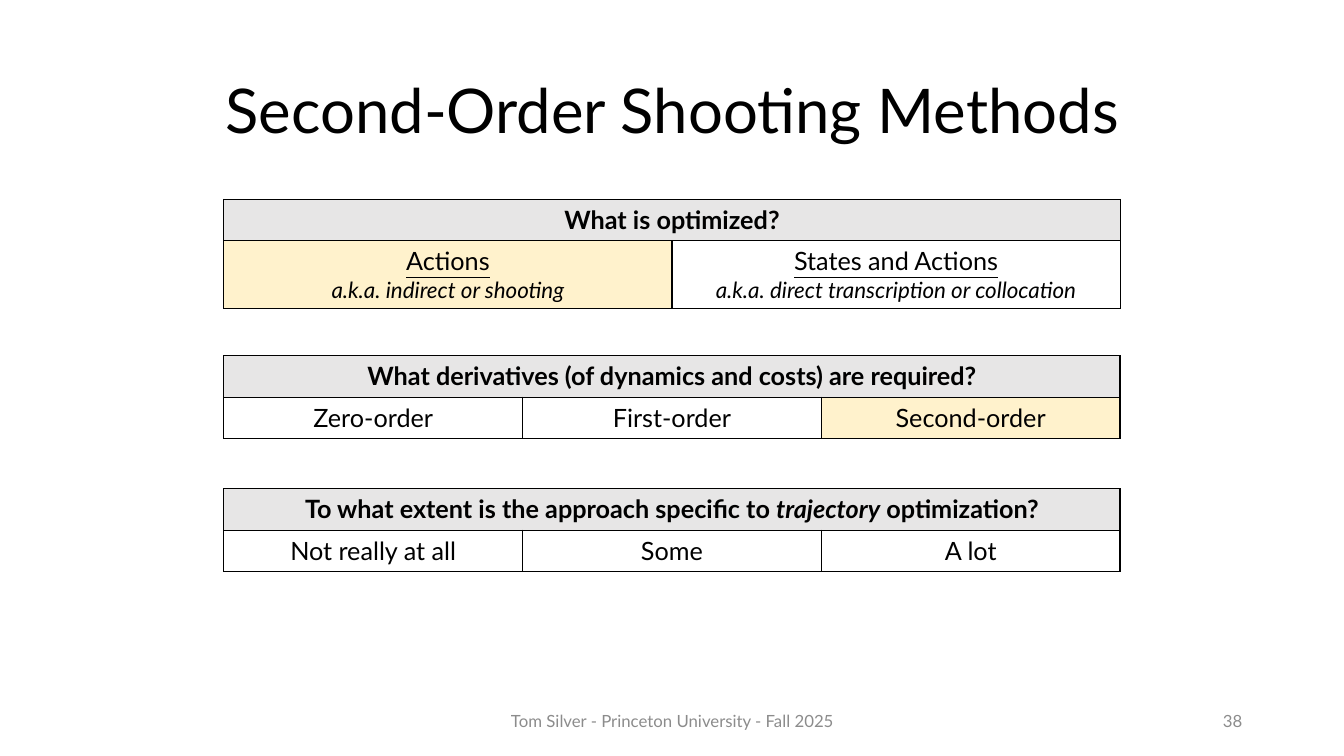
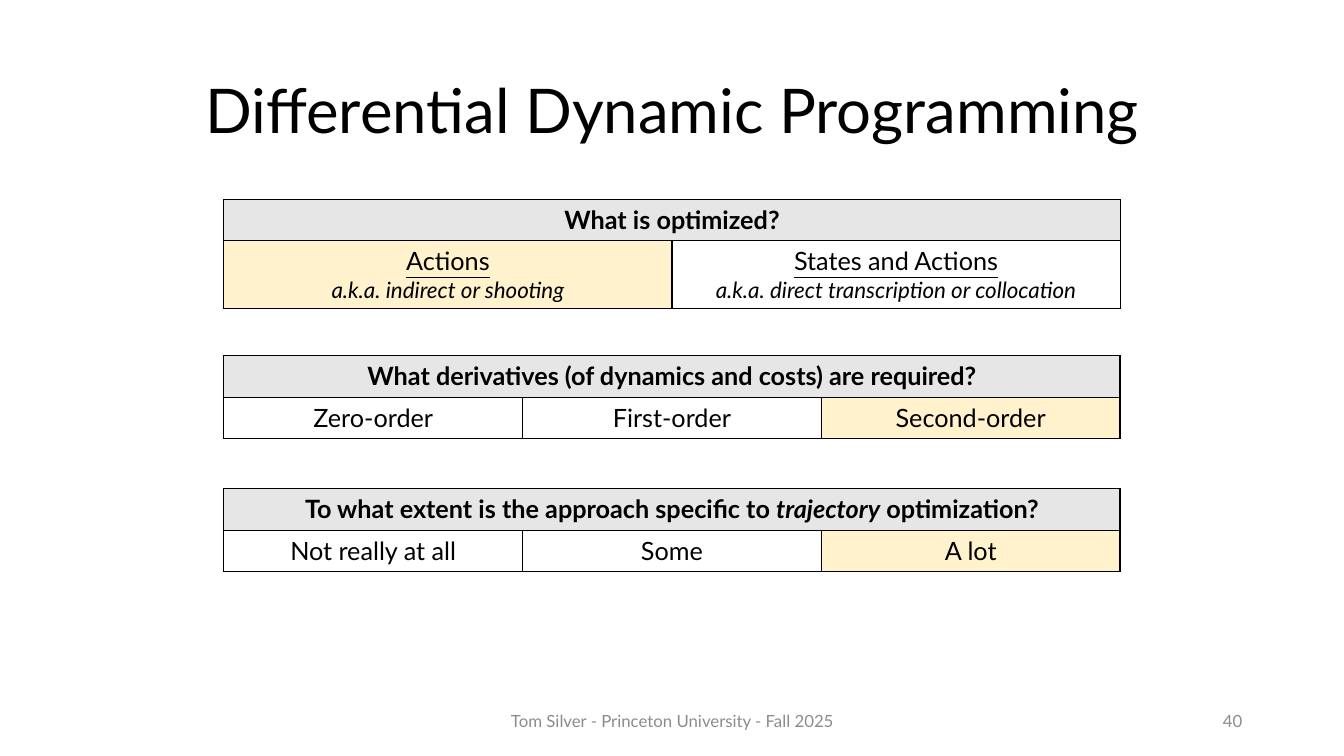
from dataclasses import dataclass

import lxml.etree
import pptx
import pptx.dml.color
import pptx.enum.text
import pptx.oxml.ns
import pptx.util
from pptx.util import Inches

FONT = "Lato"
BLACK, GREY, WHITE = "000000", "8C8C8C", "FFFFFF"
HEADER_FILL, CHOSEN_FILL = "E7E6E6", "FFF2CC"
FOOTER = "Tom Silver - Princeton University - Fall 2025"
TABLE_LEFT, TABLE_WIDTH, ROW_HEIGHT = 2.22, 8.89, 0.41
BORDER_WIDTH = 1
CENTER = pptx.enum.text.PP_ALIGN.CENTER
RIGHT = pptx.enum.text.PP_ALIGN.RIGHT


@dataclass(frozen=True)
class Span:
    text: str
    size: int = 18
    bold: bool = False
    italic: bool = False
    underline: bool = False


Lines = list[list[Span]]  # paragraphs, each made of spans


@dataclass(frozen=True)
class Question:
    top: float
    heading: list[Span]
    answers: list[Lines]
    answer_height: float = ROW_HEIGHT


@dataclass(frozen=True)
class Method:
    title: str
    number: int
    chosen: tuple[int | None, ...]  # highlighted answer of each question


def plain(*answers: str) -> list[Lines]:
    return [[[Span(answer)]] for answer in answers]


def named(name: str, alias: str) -> Lines:
    return [[Span(name, underline=True)], [Span(alias, size=16, italic=True)]]


QUESTIONS = [
    Question(
        1.98,
        [Span("What is optimized?", bold=True)],
        [
            named("Actions", "a.k.a. indirect or shooting"),
            named("States and Actions", "a.k.a. direct transcription or collocation"),
        ],
        0.66,
    ),
    Question(
        3.53,
        [Span("What derivatives (of dynamics and costs) are required?", bold=True)],
        plain("Zero-order", "First-order", "Second-order"),
    ),
    Question(
        4.85,
        [
            Span("To what extent is the approach specific to ", bold=True),
            Span("trajectory", bold=True, italic=True),
            Span(" optimization?", bold=True),
        ],
        plain("Not really at all", "Some", "A lot"),
    ),
]

METHODS = [
    Method("Second-Order Shooting Methods", 38, (0, 2, None)),
    Method("Differential Dynamic Programming", 40, (0, 2, 2)),
]


def rgb(color: str) -> pptx.dml.color.RGBColor:
    return pptx.dml.color.RGBColor.from_string(color)


def write(text_frame, lines: Lines, color: str = BLACK, align=CENTER) -> None:
    for index, spans in enumerate(lines):
        paragraph = text_frame.add_paragraph() if index else text_frame.paragraphs[0]
        paragraph.alignment = align
        for span in spans:
            run = paragraph.add_run()
            run.text = span.text
            font = run.font
            font.name, font.size = FONT, pptx.util.Pt(span.size)
            font.bold, font.italic = span.bold, span.italic
            font.underline = span.underline
            font.color.rgb = rgb(color)


def add_label(slide, box: tuple[float, float, float, float], span: Span,
              color: str = BLACK, align=CENTER):
    frame = slide.shapes.add_textbox(*map(Inches, box)).text_frame
    frame.word_wrap = True
    frame.vertical_anchor = pptx.enum.text.MSO_ANCHOR.MIDDLE
    write(frame, [[span]], color, align)
    return frame


def style_cell(cell, fill: str) -> None:
    cell.fill.solid()
    cell.fill.fore_color.rgb = rgb(fill)
    # Border lines come before the fill in the cell properties
    properties = cell._tc.get_or_add_tcPr()
    for index, side in enumerate(("lnL", "lnR", "lnT", "lnB")):
        line = lxml.etree.Element(pptx.oxml.ns.qn(f"a:{side}"),
                                  w=str(pptx.util.Pt(BORDER_WIDTH)))
        solid = lxml.etree.SubElement(line, pptx.oxml.ns.qn("a:solidFill"))
        lxml.etree.SubElement(solid, pptx.oxml.ns.qn("a:srgbClr"), val=BLACK)
        properties.insert(index, line)


def add_question(slide, question: Question, chosen: int | None) -> None:
    count = len(question.answers)
    table = slide.shapes.add_table(
        2, count, Inches(TABLE_LEFT), Inches(question.top), Inches(TABLE_WIDTH),
        Inches(ROW_HEIGHT + question.answer_height)).table
    table.first_row = table.horz_banding = False
    table.rows[0].height = Inches(ROW_HEIGHT)
    table.rows[1].height = Inches(question.answer_height)

    # Heading across all columns
    table.cell(0, 0).merge(table.cell(0, count - 1))
    write(table.cell(0, 0).text_frame, [question.heading])

    # Answers, one to a column
    for column, answer in enumerate(question.answers):
        table.columns[column].width = Inches(TABLE_WIDTH / count)
        style_cell(table.cell(0, column), HEADER_FILL)
        cell = table.cell(1, column)
        style_cell(cell, CHOSEN_FILL if column == chosen else WHITE)
        write(cell.text_frame, answer)


def add_method(deck, method: Method) -> None:
    slide = deck.slides.add_slide(deck.slide_layouts[6])
    title = add_label(slide, (0.92, 0.4, 11.5, 1.45), Span(method.title, size=44))
    title.paragraphs[0].line_spacing = 0.9
    add_label(slide, (4.42, 6.95, 4.5, 0.4), Span(FOOTER, size=12), GREY)
    add_label(slide, (9.42, 6.95, 3, 0.4), Span(str(method.number), size=12), GREY, RIGHT)
    for question, chosen in zip(QUESTIONS, method.chosen):
        add_question(slide, question, chosen)


def main() -> None:
    deck = pptx.Presentation()
    deck.slide_width, deck.slide_height = Inches(13.33), Inches(7.5)
    for method in METHODS:
        add_method(deck, method)
    deck.save("out.pptx")


if __name__ == "__main__":
    main()
